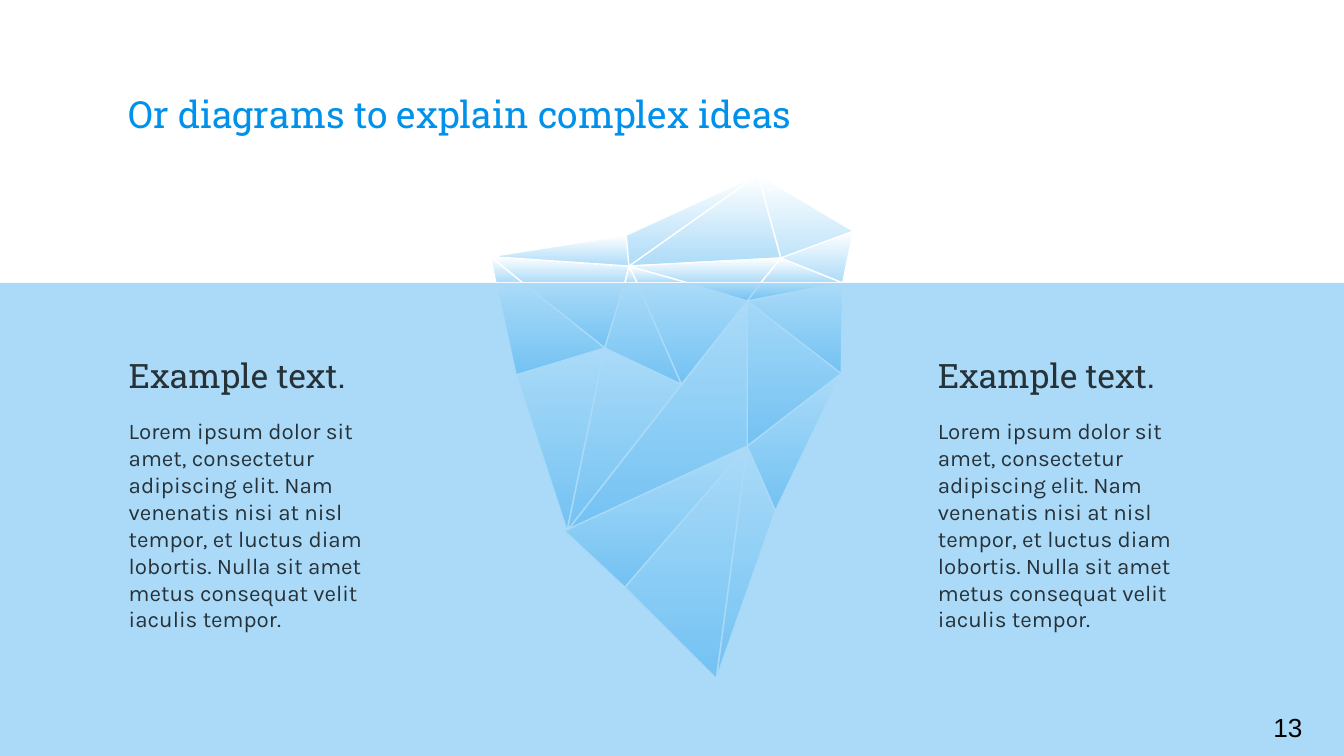
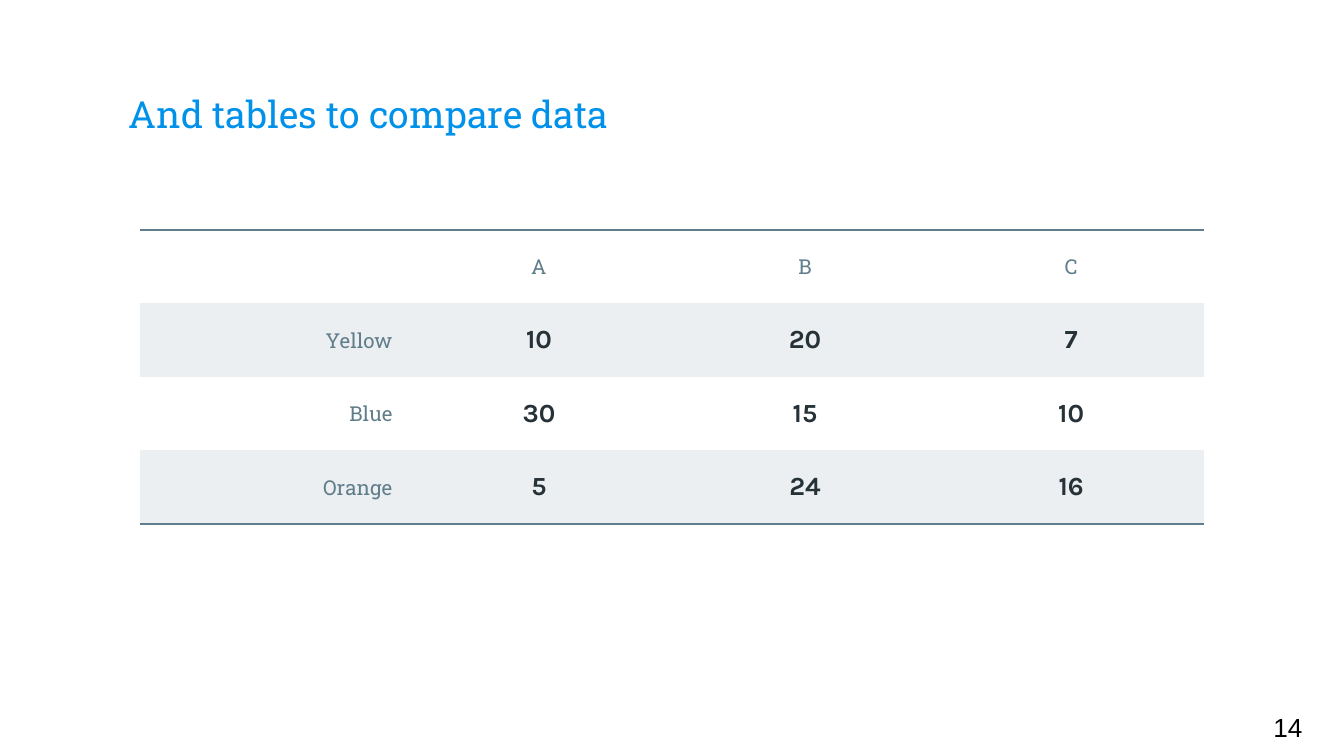
"""Build two slides: an iceberg diagram and a comparison table."""
from lxml.etree import SubElement
from pptx import Presentation
from pptx.dml.color import RGBColor as RGB
from pptx.enum.shapes import MSO_SHAPE as Preset
from pptx.enum.text import MSO_ANCHOR as Anchor, PP_ALIGN as Align
from pptx.oxml import parse_xml
from pptx.oxml.ns import nsdecls, qn
from pptx.util import Pt

PX = 4572
WIDTH, HEIGHT = 2000, 1125
WATERLINE = 421
NO_TABLE_STYLE = "{2D5ABB26-0587-4C30-8999-92F81FD0307C}"

COLORS = {
    "blue": "0091EA",
    "ice": "ACDBF8",
    "white": "FFFFFF",
    "ink": "263238",
    "slate": "607D8B",
    "band": "ECEFF1",
    "black": "000000",
}

FONTS = {
    "title": {"name": "Roboto Slab", "size": Pt(20), "color": "blue"},
    "heading": {"name": "Roboto Slab", "size": Pt(18), "color": "ink"},
    "body": {"name": "Karla", "size": Pt(12), "color": "ink"},
    "label": {"name": "Roboto Slab", "size": Pt(11), "color": "slate"},
    "value": {"name": "Karla", "size": Pt(14), "color": "ink", "bold": True},
    "number": {"name": "Arial", "size": Pt(14), "color": "black"},
}

VERTICES = {
    "peak": (1128, 260), "ridge": (932, 350), "east": (1270, 344),
    "west": (730, 382), "crest": (936, 396), "saddle": (1162, 384),
    "sea1": (738, WATERLINE), "sea2": (778, WATERLINE), "sea3": (930, WATERLINE),
    "sea4": (948, WATERLINE), "sea5": (1024, WATERLINE), "sea6": (1132, WATERLINE),
    "sea7": (1254, WATERLINE),
    "cleft": (1112, 448), "hollow": (900, 518), "flank_w": (768, 558),
    "flank_e": (1252, 556), "notch": (1014, 572), "core": (1112, 664),
    "elbow_e": (1154, 760), "elbow_w": (844, 790), "keel_w": (840, 790),
    "keel": (930, 874), "bottom": (1066, 1010),
}

FACETS = [
    "sea7 west sea2",
    "peak crest saddle",
    "peak east sea7 saddle",
    "west sea2 sea1",
    "crest sea3 sea2 west",
    "peak crest west ridge",
    "saddle sea7 sea6",
    "sea4 crest sea5",
    "west sea2 sea1",
    "ridge crest west",
    "east saddle sea7",
    "sea4 crest sea3",
    "sea7 flank_e core cleft",
    "hollow elbow_w flank_w",
    "sea3 hollow sea2",
    "core elbow_e bottom",
    "sea7 cleft sea6",
    "notch sea4 sea5 cleft",
    "notch hollow elbow_w",
    "cleft elbow_w core",
    "sea2 hollow flank_w sea1",
    "sea7 cleft flank_e",
    "hollow notch sea4 sea3",
    "keel_w core keel",
    "keel bottom core",
    "flank_e elbow_e core",
    "crest saddle sea6 sea5",
    "cleft sea6 sea5",
]

EXAMPLE_HEADING = "Example text."
EXAMPLE_BODY = (
    "Lorem ipsum dolor sit amet, consectetur adipiscing elit. Nam venenatis "
    "nisi at nisl tempor, et luctus diam lobortis. Nulla sit amet metus "
    "consequat velit iaculis tempor."
)

TABLE_ROWS = [
    ["", "A", "B", "C"],
    ["Yellow", "10", "20", "7"],
    ["Blue", "30", "15", "10"],
    ["Orange", "5", "24", "16"],
]


def emu(*lengths):
    """Turn px lengths into EMU."""
    return [length * PX for length in lengths]


def color(name):
    """Return a palette colour."""
    return RGB.from_string(COLORS[name])


def set_attributes(target, values):
    """Set each named value on the target."""
    for name, value in values.items():
        setattr(target, name, value)


def write(paragraph, text, style, align=Align.LEFT):
    """Write one styled run into a paragraph."""
    paragraph.alignment = align
    run = paragraph.add_run()
    run.text = text
    values = dict(FONTS[style])
    run.font.color.rgb = color(values.pop("color"))
    set_attributes(run.font, values)


def add_text(slide, box, items, inset=20, anchor=Anchor.TOP, align=Align.LEFT):
    """Add a text box with one paragraph per (text, style, space before)."""
    frame = slide.shapes.add_textbox(*emu(*box)).text_frame
    side, edge = emu(20, inset)
    set_attributes(frame, {
        "word_wrap": True, "vertical_anchor": anchor,
        "margin_left": side, "margin_right": side,
        "margin_top": edge, "margin_bottom": edge,
    })
    for index, (text, style, space) in enumerate(items):
        paragraph = frame.add_paragraph() if index else frame.paragraphs[0]
        paragraph.space_before = Pt(space)
        write(paragraph, text, style, align)


def add_title(slide, text):
    """Add the slide title."""
    add_text(slide, (172, 68, 1656, 154), [(text, "title", 0)], anchor=Anchor.BOTTOM)


def add_page_number(slide, number):
    """Add the page number in the bottom right corner."""
    add_text(slide, (1838, 1038, 120, 86), [(str(number), "number", 0)], align=Align.RIGHT)


def add_example(slide, left):
    """Add a heading with its body text."""
    items = [(EXAMPLE_HEADING, "heading", 0), (EXAMPLE_BODY, "body", 12)]
    add_text(slide, (left, 518, 460, 530), items, inset=10)


def add_facet(slide, names):
    """Add one ice facet through the named vertices."""
    start, *others = [VERTICES[name] for name in names.split()]
    builder = slide.shapes.build_freeform(*start, scale=float(PX))
    builder.add_line_segments(others, close=True)
    shape = builder.convert_to_shape()
    shape.shadow.inherit = False
    shape.fill.gradient()
    shape.fill.gradient_angle = 270
    for stop, name in zip(shape.fill.gradient_stops, ("white", "ice")):
        stop.color.rgb = color(name)
    shape.line.color.rgb = color("white")
    shape.line.width = Pt(0.75)
    return shape


def add_sea(slide):
    """Cover the slide below the waterline with translucent blue."""
    box = emu(0, WATERLINE, WIDTH, HEIGHT - WATERLINE)
    shape = slide.shapes.add_shape(Preset.RECTANGLE, *box)
    shape.shadow.inherit = False
    shape.fill.solid()
    shape.fill.fore_color.rgb = color("blue")
    shape.line.fill.background()
    fill_color = shape._element.spPr.find(qn("a:solidFill")).find(qn("a:srgbClr"))
    SubElement(fill_color, qn("a:alpha"), val="33000")


def add_border(cell, side):
    """Draw a slate border on the top (T) or bottom (B) of a cell."""
    border = parse_xml(
        f'<a:ln{side} {nsdecls("a")} w="{Pt(1.5)}"><a:solidFill>'
        f'<a:srgbClr val="{COLORS["slate"]}"/></a:solidFill></a:ln{side}>'
    )
    cell._tc.get_or_add_tcPr().insert(0, border)


def fill_cell(cell, text, row, column):
    """Write and format one table cell."""
    side, edge = emu(20, 14)
    set_attributes(cell, {
        "vertical_anchor": Anchor.MIDDLE,
        "margin_left": side, "margin_right": side,
        "margin_top": edge, "margin_bottom": edge,
    })
    if row % 2:
        cell.fill.solid()
        cell.fill.fore_color.rgb = color("band")
    else:
        cell.fill.background()
    if text:
        style = "value" if row and column else "label"
        align = Align.CENTER if column else Align.RIGHT
        write(cell.text_frame.paragraphs[0], text, style, align)
    if row == 0:
        add_border(cell, "T")
    if row == len(TABLE_ROWS) - 1:
        add_border(cell, "B")


def add_data_table(slide):
    """Add the comparison table."""
    size = len(TABLE_ROWS), len(TABLE_ROWS[0])
    table = slide.shapes.add_table(*size, *emu(208, 342, 1584, 438)).table
    set_attributes(table, {"first_row": False, "horz_banding": False})
    table._tbl.tblPr.find(qn("a:tableStyleId")).text = NO_TABLE_STYLE
    for row, texts in enumerate(TABLE_ROWS):
        for column, text in enumerate(texts):
            fill_cell(table.cell(row, column), text, row, column)


def add_slide(presentation, title):
    """Add a blank slide with a white background and a title."""
    slide = presentation.slides.add_slide(presentation.slide_layouts[6])
    slide.background.fill.solid()
    slide.background.fill.fore_color.rgb = color("white")
    add_title(slide, title)
    return slide


def main():
    """Build and save the presentation."""
    presentation = Presentation()
    presentation.slide_width, presentation.slide_height = emu(WIDTH, HEIGHT)

    diagram = add_slide(presentation, "Or diagrams to explain complex ideas")
    facets = [add_facet(diagram, names) for names in FACETS]
    diagram.shapes.add_group_shape(facets)
    add_sea(diagram)
    for left in (172, 1376):
        add_example(diagram, left)
    add_page_number(diagram, 13)

    comparison = add_slide(presentation, "And tables to compare data")
    add_data_table(comparison)
    add_page_number(comparison, 14)

    presentation.save("out.pptx")


if __name__ == "__main__":
    main()
